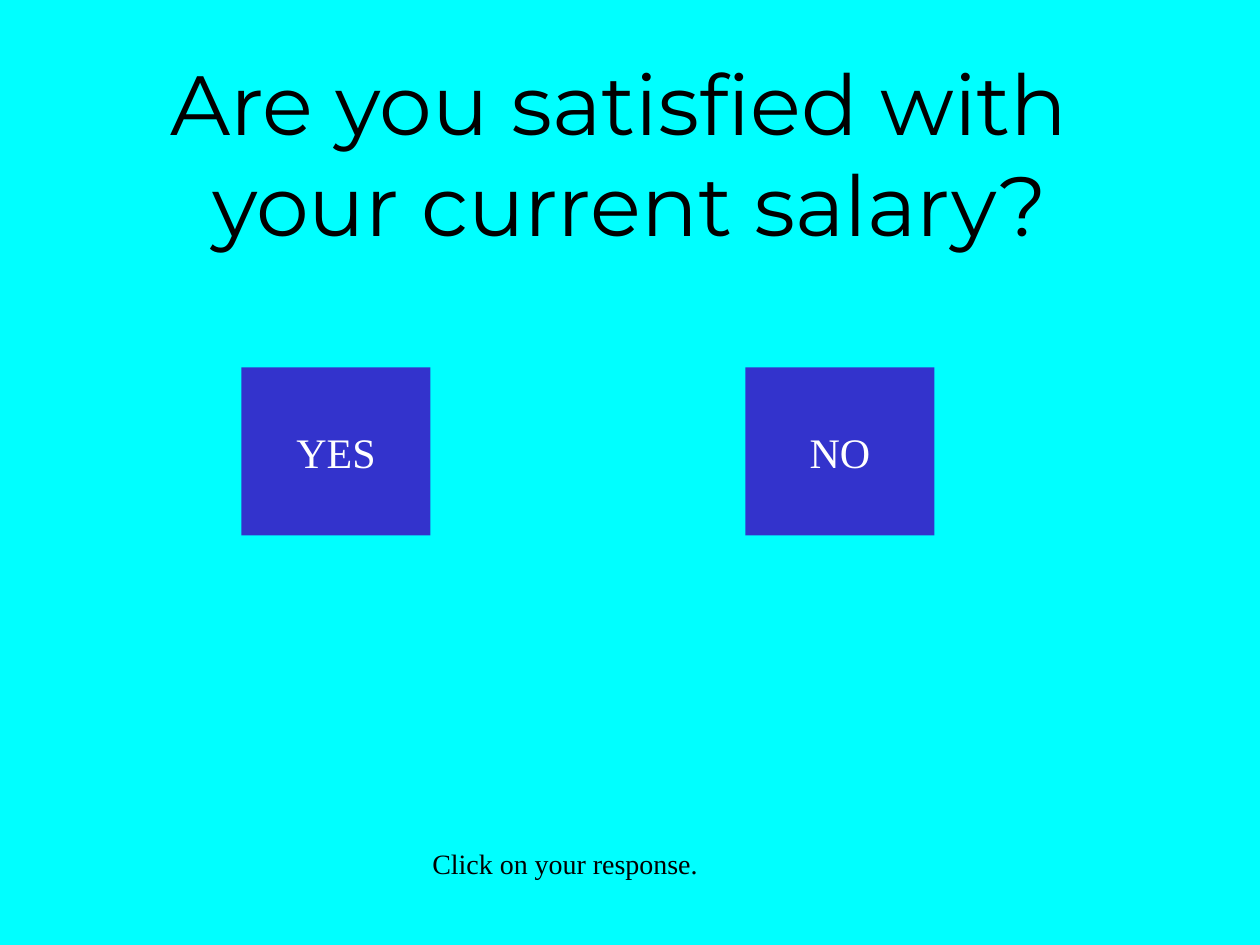
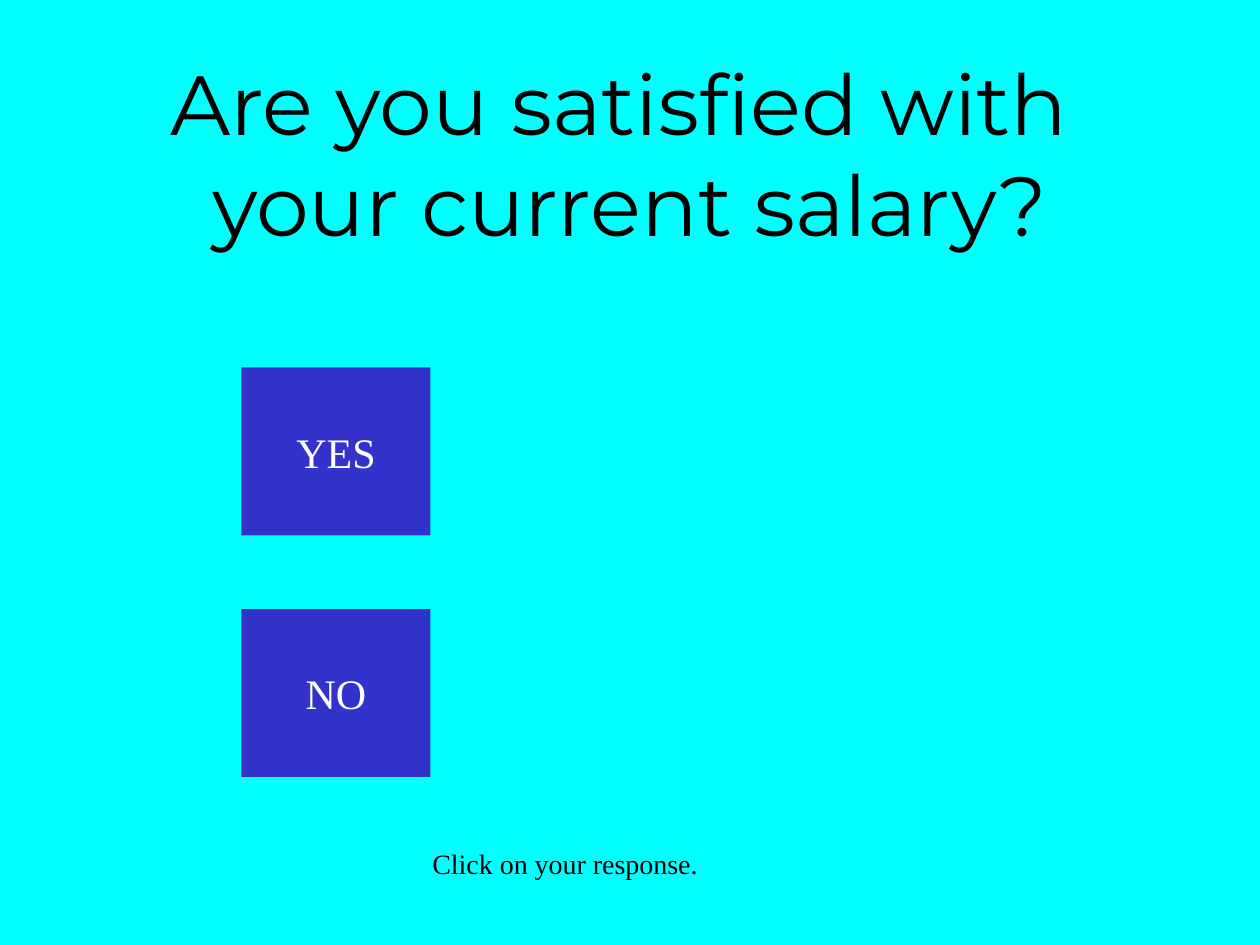
from pptx import Presentation
from pptx.dml.color import RGBColor
from pptx.enum.shapes import MSO_SHAPE
from pptx.enum.text import MSO_ANCHOR, MSO_AUTO_SIZE, PP_ALIGN
from pptx.util import Inches, Pt

CYAN = RGBColor(0x00, 0xFF, 0xFF)
BLUE = RGBColor(0x33, 0x33, 0xCC)
BLACK = RGBColor(0x00, 0x00, 0x00)
WHITE = RGBColor(0xFF, 0xFF, 0xFF)

CELL = Inches(1) // 12  # the slide is a grid of 120 columns by 90 rows
COLS, ROWS = 120, 90

TITLE_FONT = {"name": "Montserrat", "size": Pt(48)}
BUTTON_FONT = {"name": "Times New Roman", "size": Pt(24)}
PROMPT_FONT = {"name": "Times New Roman", "size": Pt(16)}

TITLE_BOX = (0, 6, COLS, 17)
PROMPT_BOX = (40, 80, 28, 4.4)
BUTTON_SIZE = (18, 16)
YES_AT = (23, 35)
NO_BESIDE = (71, 35)
NO_BELOW = (23, 58)


def on_grid(box):
    return [round(n * CELL) for n in box]


def write(shape, text, font, color, align, frame):
    tf = shape.text_frame
    for name, value in frame.items():
        setattr(tf, name, value)
    p = tf.paragraphs[0]
    p.text = text
    p.alignment = align
    for r in p.runs:
        for name, value in font.items():
            setattr(r.font, name, value)
        r.font.color.rgb = color


def add_title(s, box, text):
    tb = s.shapes.add_textbox(*on_grid(box))
    write(tb, text, TITLE_FONT, BLACK, PP_ALIGN.CENTER,
          {"word_wrap": True, "vertical_anchor": MSO_ANCHOR.MIDDLE})


def add_button(s, box, label):
    sp = s.shapes.add_shape(MSO_SHAPE.RECTANGLE, *on_grid(box))
    sp.shadow.inherit = False
    sp.fill.solid()
    sp.fill.fore_color.rgb = BLUE
    sp.line.fill.background()
    write(sp, label, BUTTON_FONT, WHITE, PP_ALIGN.CENTER,
          {"word_wrap": False, "vertical_anchor": MSO_ANCHOR.MIDDLE})


def add_prompt(s, box, text):
    tb = s.shapes.add_textbox(*on_grid(box))
    write(tb, text, PROMPT_FONT, BLACK, PP_ALIGN.LEFT,
          {"word_wrap": True, "auto_size": MSO_AUTO_SIZE.SHAPE_TO_FIT_TEXT})


def add_question_slide(prs, answers):
    s = prs.slides.add_slide(prs.slide_layouts[6])
    s.background.fill.solid()
    s.background.fill.fore_color.rgb = CYAN
    add_title(s, TITLE_BOX, "Are you satisfied with \vyour current salary?")
    for label, corner in answers.items():
        add_button(s, corner + BUTTON_SIZE, label)
    add_prompt(s, PROMPT_BOX, "Click on your response.")


def main():
    prs = Presentation()
    prs.slide_width, prs.slide_height = on_grid((COLS, ROWS))
    for no_at in (NO_BESIDE, NO_BELOW):
        add_question_slide(prs, {"YES": YES_AT, "NO": no_at})
    prs.save("out.pptx")


if __name__ == "__main__":
    main()
